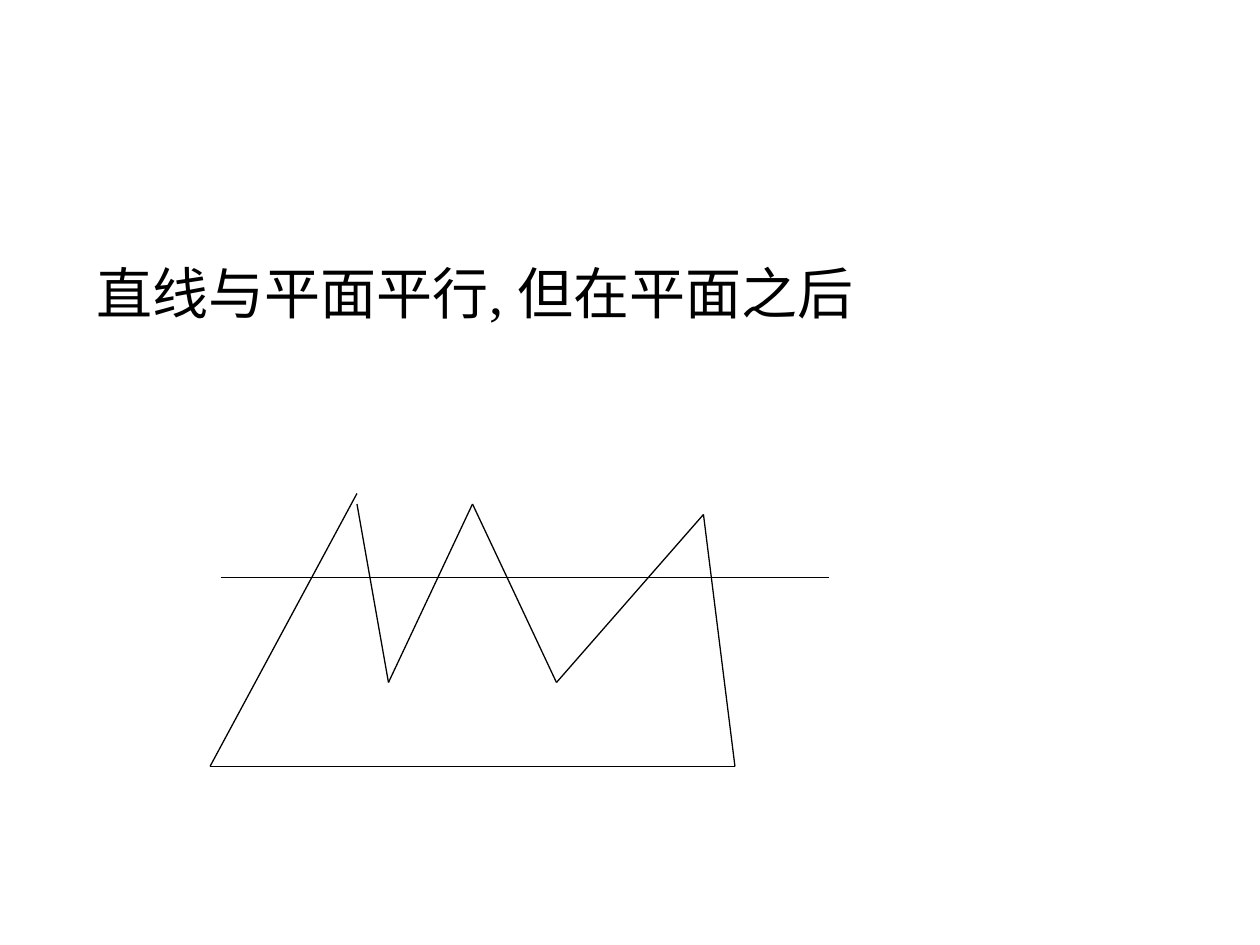
from itertools import pairwise

from lxml import etree
from pptx import Presentation, util as u
from pptx.dml import color
from pptx.enum import shapes, text
from pptx.oxml import ns

PX = 7620
COLORS = {"ink": "000000", "paper": "FFFFFF"}
FONT = {"name": "Times New Roman", "size": u.Pt(32), "bold": False}
FRAME = {
    "margin_left": 12 * PX,
    "margin_right": 12 * PX,
    "margin_top": 6 * PX,
    "margin_bottom": 6 * PX,
    "word_wrap": True,
    "auto_size": text.MSO_AUTO_SIZE.NONE,
    "vertical_anchor": text.MSO_ANCHOR.TOP,
}
PARAGRAPH = {"alignment": text.PP_ALIGN.LEFT, "space_before": u.Pt(0)}


def apply(target, values):
    for name, value in values.items():
        setattr(target, name, value)


class SlideBuilder:
    def __init__(self, slide, line_width):
        self.slide = slide
        self.line_width = u.Pt(line_width)
        fill = slide.background.fill
        fill.solid()
        fill.fore_color.rgb = self.color("paper")

    def color(self, name):
        return color.RGBColor.from_string(COLORS[name])

    def remove_title(self):
        title = self.slide.shapes.title.element
        title.getparent().remove(title)

    def body(self, left, top, width, height, content):
        shape = self.slide.placeholders[1]
        box = {"left": left, "top": top, "width": width, "height": height}
        apply(shape, {name: value * PX for name, value in box.items()})
        apply(shape.text_frame, FRAME)
        paragraph = shape.text_frame.paragraphs[0]
        properties = paragraph._p.get_or_add_pPr()
        properties.set("marL", str(45 * PX))
        properties.set("indent", str(-45 * PX))
        etree.SubElement(properties, ns.qn("a:buNone"))
        apply(paragraph, PARAGRAPH)
        run = paragraph.add_run()
        run.text = content
        apply(run.font, FONT)
        run.font.color.rgb = self.color("ink")

    def line(self, start, end):
        points = [value * PX for value in (*start, *end)]
        connector = self.slide.shapes.add_connector(
            shapes.MSO_CONNECTOR.STRAIGHT, *points
        )
        connector.line.color.rgb = self.color("ink")
        connector.line.width = self.line_width
        etree.SubElement(connector.element.spPr, ns.qn("a:effectLst"))

    def polyline(self, points):
        for start, end in pairwise(points):
            self.line(start, end)


def main():
    presentation = Presentation()
    apply(presentation, {"slide_width": 1200 * PX, "slide_height": 900 * PX})
    slide = presentation.slides.add_slide(presentation.slide_layouts[1])
    builder = SlideBuilder(slide, 0.75)
    builder.remove_title()
    builder.body(80, 240, 1020, 560, "直线与平面平行, 但在平面之后")

    plane_edge = [
        (340, 480), (370, 650), (450, 480), (530, 650),
        (670, 490), (700, 730), (200, 730), (340, 470),
    ]
    builder.polyline(plane_edge)
    builder.line((210, 550), (790, 550))
    presentation.save("out.pptx")


if __name__ == "__main__":
    main()
